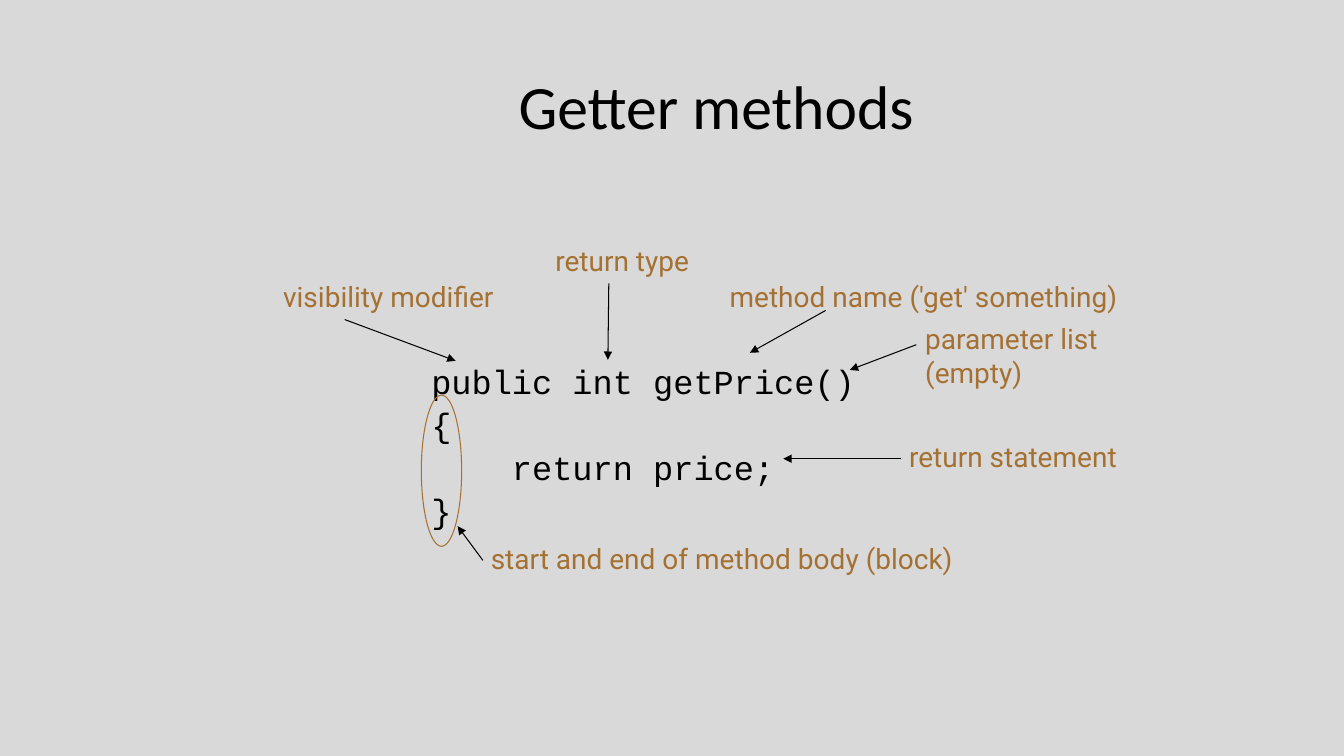
from lxml import etree
from pptx import Presentation
from pptx.dml.color import RGBColor
from pptx.enum.shapes import MSO_CONNECTOR as Connector, MSO_SHAPE as Shape
from pptx.enum.text import MSO_ANCHOR as Anchor, MSO_AUTO_SIZE as AutoSize, PP_ALIGN as Align
from pptx.oxml.ns import qn
from pptx.util import Inches, Pt

COLORS = {"background": "D9D9D9", "ink": "000000", "accent": "A57133"}
LINE_WIDTH = Pt(0.75)
LABEL_HEIGHT = 5.75

# text, (left, top, width, height), wrapped
LABELS = [
    ("return type", (40.58, 31.6, 12.9, LABEL_HEIGHT), True),
    ("method name ('get' something)", (53.55, 36.27, 30.6, LABEL_HEIGHT), False),
    ("parameter list (empty)", (68.1, 41.87, 16.95, 10.27), True),
    ("start and end of method body (block)", (35.78, 70.93, 37.35, LABEL_HEIGHT), True),
    ("return statement", (66.9, 57.47, 17.55, LABEL_HEIGHT), False),
    ("visibility modifier", (20.33, 36.27, 18.08, LABEL_HEIGHT), False),
]

# start and tip
ARROWS = [
    ((35.93, 74.13), (34.05, 69.6)),
    ((45.3, 37.47), (45.23, 47.6)),
    ((61.43, 41.07), (55.8, 46.67)),
    ((68.18, 45.6), (63.23, 48.93)),
    ((67.05, 60.67), (58.28, 60.67)),
    ((25.65, 42.27), (33.9, 47.73)),
]

CODE = """public int getPrice()
{
    return price;
}"""


def color(name):
    return RGBColor.from_string(COLORS[name])


class MethodSlide:
    """One slide whose lengths are percentages of its width and height."""

    def __init__(self, deck):
        self.width, self.height = deck.slide_width, deck.slide_height
        self.page = deck.slides.add_slide(deck.slide_layouts[6])
        fill = self.page.background.fill
        fill.solid()
        fill.fore_color.rgb = color("background")

    def scale(self, *shares):
        """Turn alternating horizontal and vertical shares into lengths."""
        sides = (self.width, self.height) * (len(shares) // 2)
        return [round(side * share / 100) for side, share in zip(sides, shares)]

    def text(self, text, area, font, size, ink, wrap=True, align=Align.LEFT, spacing=None):
        box = self.page.shapes.add_textbox(*self.scale(*area))
        frame = box.text_frame
        frame.text = text
        frame.word_wrap = wrap
        frame.auto_size = AutoSize.SHAPE_TO_FIT_TEXT
        for para in frame.paragraphs:
            para.alignment = align
            para.line_spacing = spacing
            for span in para.runs:
                span.font.name = font
                span.font.size = Pt(size)
                span.font.color.rgb = color(ink)
        return frame

    def title(self, text, area):
        frame = self.text(text, area, "Calibri", 44, "ink", align=Align.CENTER)
        frame.auto_size = AutoSize.NONE
        frame.vertical_anchor = Anchor.MIDDLE

    def code(self, text, area):
        self.text(text, area, "Courier New", 24, "ink", wrap=False, spacing=1.07)

    def label(self, text, area, wrap):
        self.text(text, area, "Roboto", 20, "accent", wrap)

    def ring(self, area):
        ring = self.page.shapes.add_shape(Shape.OVAL, *self.scale(*area))
        ring.shadow.inherit = False
        ring.fill.background()
        ring.line.color.rgb = color("accent")
        ring.line.width = LINE_WIDTH

    def arrow(self, start, tip):
        arrow = self.page.shapes.add_connector(Connector.STRAIGHT, *self.scale(*start, *tip))
        arrow.line.color.rgb = color("ink")
        arrow.line.width = LINE_WIDTH
        properties = arrow.line._get_or_add_ln()
        etree.SubElement(properties, qn("a:tailEnd"), type="triangle")
        etree.SubElement(properties.getparent(), qn("a:effectLst"))


def main():
    deck = Presentation()
    deck.slide_width, deck.slide_height = Inches(13.33), Inches(7.5)
    slide = MethodSlide(deck)
    slide.title("Getter methods", (10.8, 5.6, 85, 16.67))
    slide.code(CODE, (31.35, 46.67, 33.3, 22.93))
    slide.ring((31.35, 52.27, 3, 20))
    for text, area, wrap in LABELS:
        slide.label(text, area, wrap)
    for start, tip in ARROWS:
        slide.arrow(start, tip)
    deck.save("out.pptx")


if __name__ == "__main__":
    main()
